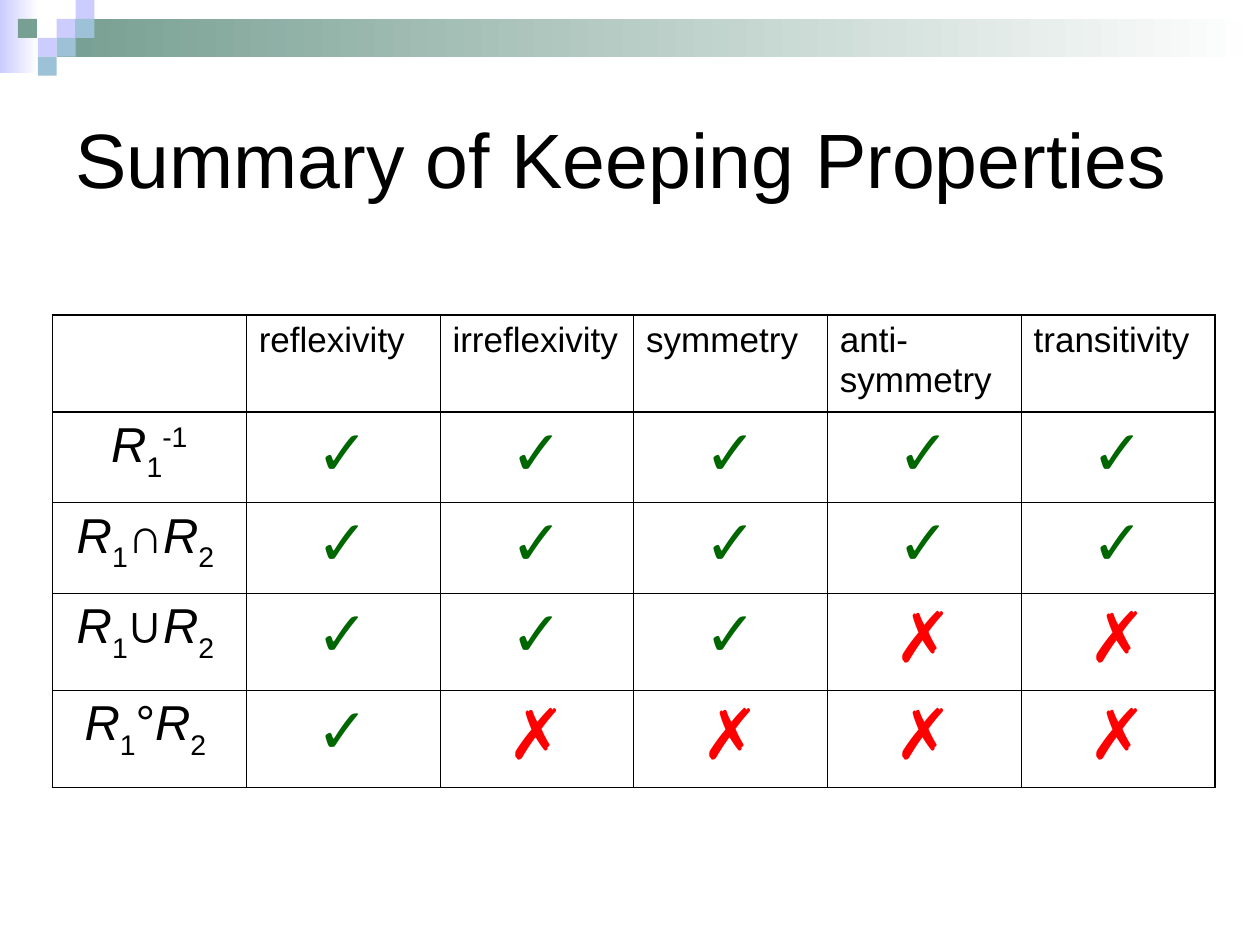
from dataclasses import dataclass

from lxml.etree import SubElement
from pptx import Presentation
from pptx.dml.color import RGBColor
from pptx.enum.shapes import MSO_SHAPE
from pptx.enum.text import MSO_ANCHOR, PP_ALIGN
from pptx.oxml.ns import qn
from pptx.util import Pt


@dataclass(frozen=True)
class Theme:
    font: str = "Arial"
    ink: str = "000000"
    lilac: str = "CCCCFF"
    sage: str = "779F92"
    sky: str = "9DC2D7"
    paper: str = "FFFFFF"
    yes: str = "006600"
    no: str = "FF0000"
    title_size: int = 44
    header_size: int = 20
    formula_size: int = 28
    yes_size: int = 36
    no_size: int = 40
    inner_line: float = 0.45
    outer_line: float = 1.08
    header_line: float = 1.47


THEME = Theme()
TILE = 10.8
TILES = [
    (3, 1, THEME.lilac), (4, 0, THEME.lilac), (4, 1, THEME.sky),
    (2, 2, THEME.lilac), (0.95, 1, THEME.sage), (3, 2, THEME.sky),
    (2, 3, THEME.sky),
]
COLUMN_WIDTH = 110.7
ROW_HEIGHTS = [55.4, 51.8, 51.8, 55.4, 55.6]
PROPERTIES = ["reflexivity", "irreflexivity", "symmetry", "anti-symmetry", "transitivity"]
VARIABLE = {"italic": True}
LOWERED = {"baseline": -30}
RAISED = {"baseline": 30}
MARKS = {
    "✓": {"size": THEME.yes_size, "color": THEME.yes, "bold": True},
    "✗": {"size": THEME.no_size, "color": THEME.no, "bold": True},
}


def combination(operator):
    return [("R", VARIABLE), ("1", LOWERED), (operator, {}), ("R", VARIABLE), ("2 ", LOWERED)]


RELATIONS = [
    ([("R", VARIABLE), ("1", LOWERED), ("-1", RAISED)], "✓✓✓✓✓"),
    (combination("∩"), "✓✓✓✓✓"),
    (combination("∪"), "✓✓✓✗✗"),
    (combination("°"), "✓✗✗✗✗"),
]


def add_span(para, text, size, color=THEME.ink, baseline=0, **styles):
    span = para.add_run()
    span.text = text
    formats = {"name": THEME.font, "size": Pt(size), "bold": False, "italic": False, **styles}
    for name, value in formats.items():
        setattr(span.font, name, value)
    span.font.color.rgb = RGBColor.from_string(color)
    if baseline:
        span.font._element.set("baseline", str(baseline * 1000))


def add_block(page, left, top, width, height, *colors):
    block = page.shapes.add_shape(
        MSO_SHAPE.RECTANGLE, Pt(left), Pt(top), Pt(width), Pt(height))
    block.shadow.inherit = False
    block.line.fill.background()
    if len(colors) == 1:
        block.fill.solid()
        block.fill.fore_color.rgb = RGBColor.from_string(colors[0])
        return
    block.fill.gradient()
    block.fill.gradient_angle = 0
    for stop, color in zip(block.fill.gradient_stops, colors):
        stop.color.rgb = RGBColor.from_string(color)


def add_banner(page):
    add_block(page, 0, 0, 22.3, 41.8, THEME.lilac, THEME.paper)
    add_block(page, 3 * TILE, TILE, 720 - 3 * TILE, 2 * TILE, THEME.sage, THEME.paper)
    for column, row, color in TILES:
        add_block(page, column * TILE, row * TILE, TILE, TILE, color)


def add_title(page, text):
    box = page.shapes.add_textbox(Pt(36), Pt(36), Pt(648), Pt(108))
    formats = {"word_wrap": True, "vertical_anchor": MSO_ANCHOR.MIDDLE}
    for name, value in formats.items():
        setattr(box.text_frame, name, value)
    add_span(box.text_frame.paragraphs[0], text, THEME.title_size)


def set_borders(cell, weights):
    properties = cell._tc.get_or_add_tcPr()
    for position, (edge, weight) in enumerate(weights.items()):
        line = SubElement(properties, qn(f"a:ln{edge}"), w=str(int(Pt(weight))))
        fill = SubElement(line, qn("a:solidFill"))
        SubElement(fill, qn("a:srgbClr"), val=THEME.ink)
        properties.insert(position, line)


def border_weights(row, column, last_row, last_column):
    def weight(index, last):
        return THEME.outer_line if index in (0, last + 1) else THEME.inner_line

    def row_weight(index):
        return THEME.header_line if index == 1 else weight(index, last_row)

    return {
        "L": weight(column, last_column),
        "R": weight(column + 1, last_column),
        "T": row_weight(row),
        "B": row_weight(row + 1),
    }


def fill_cell(cell, spans, size, alignment):
    para = cell.text_frame.paragraphs[0]
    para.alignment = alignment
    for text, styles in spans:
        add_span(para, text, **{"size": size, **styles})


def add_property_table(page):
    row_count, column_count = len(RELATIONS) + 1, len(PROPERTIES) + 1
    table = page.shapes.add_table(
        row_count, column_count, Pt(30), Pt(180),
        Pt(COLUMN_WIDTH * column_count), Pt(sum(ROW_HEIGHTS))).table
    table.first_row = table.horz_banding = False
    for column in table.columns:
        column.width = Pt(COLUMN_WIDTH)
    for row, height in zip(table.rows, ROW_HEIGHTS):
        row.height = Pt(height)
    for row in range(row_count):
        for column in range(column_count):
            cell = table.cell(row, column)
            cell.fill.background()
            set_borders(cell, border_weights(row, column, row_count - 1, column_count - 1))
    for column, name in enumerate(PROPERTIES, 1):
        fill_cell(table.cell(0, column), [(name, {})], THEME.header_size, PP_ALIGN.LEFT)
    for row, (formula, marks) in enumerate(RELATIONS, 1):
        fill_cell(table.cell(row, 0), formula, THEME.formula_size, PP_ALIGN.CENTER)
        for column, mark in enumerate(marks, 1):
            fill_cell(table.cell(row, column), [(mark, MARKS[mark])],
                      THEME.yes_size, PP_ALIGN.CENTER)


def main():
    deck = Presentation()
    deck.slide_width, deck.slide_height = Pt(720), Pt(540)
    page = deck.slides.add_slide(deck.slide_layouts[6])
    add_banner(page)
    add_title(page, "Summary of Keeping Properties")
    add_property_table(page)
    deck.save("out.pptx")


if __name__ == "__main__":
    main()
